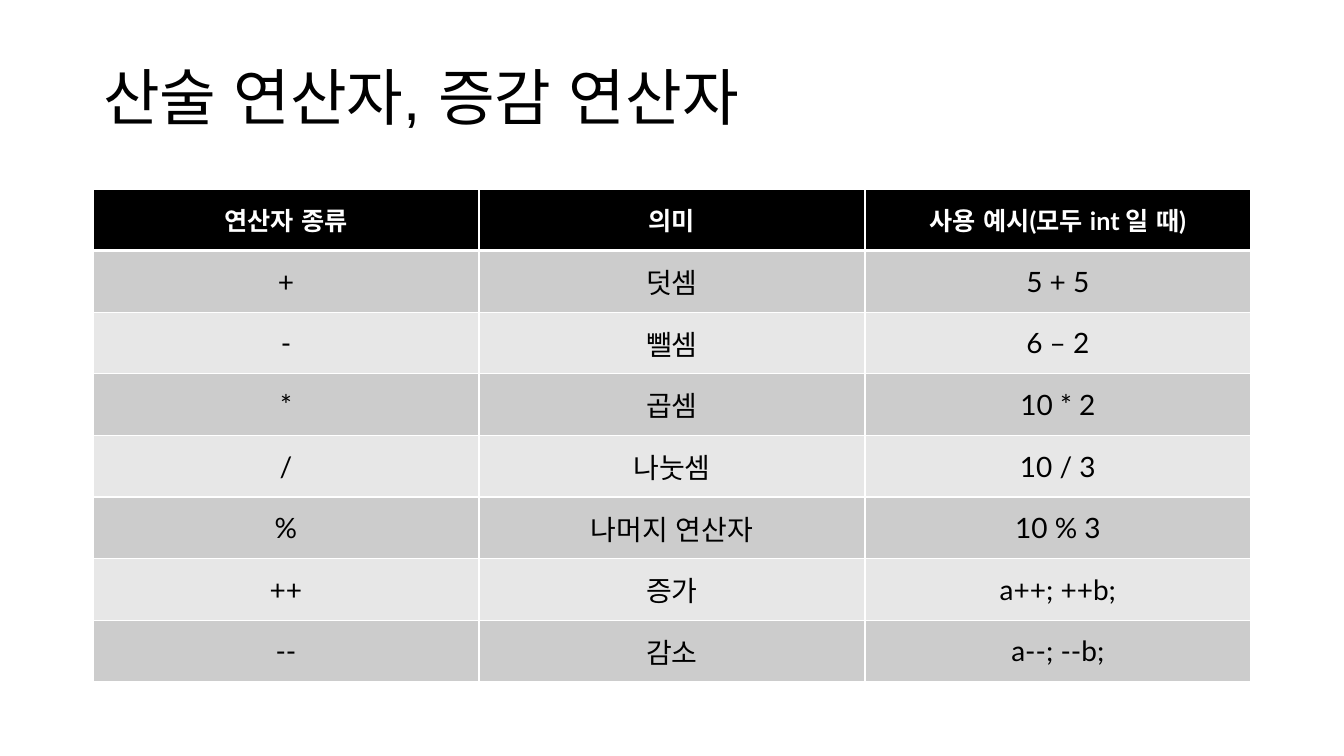
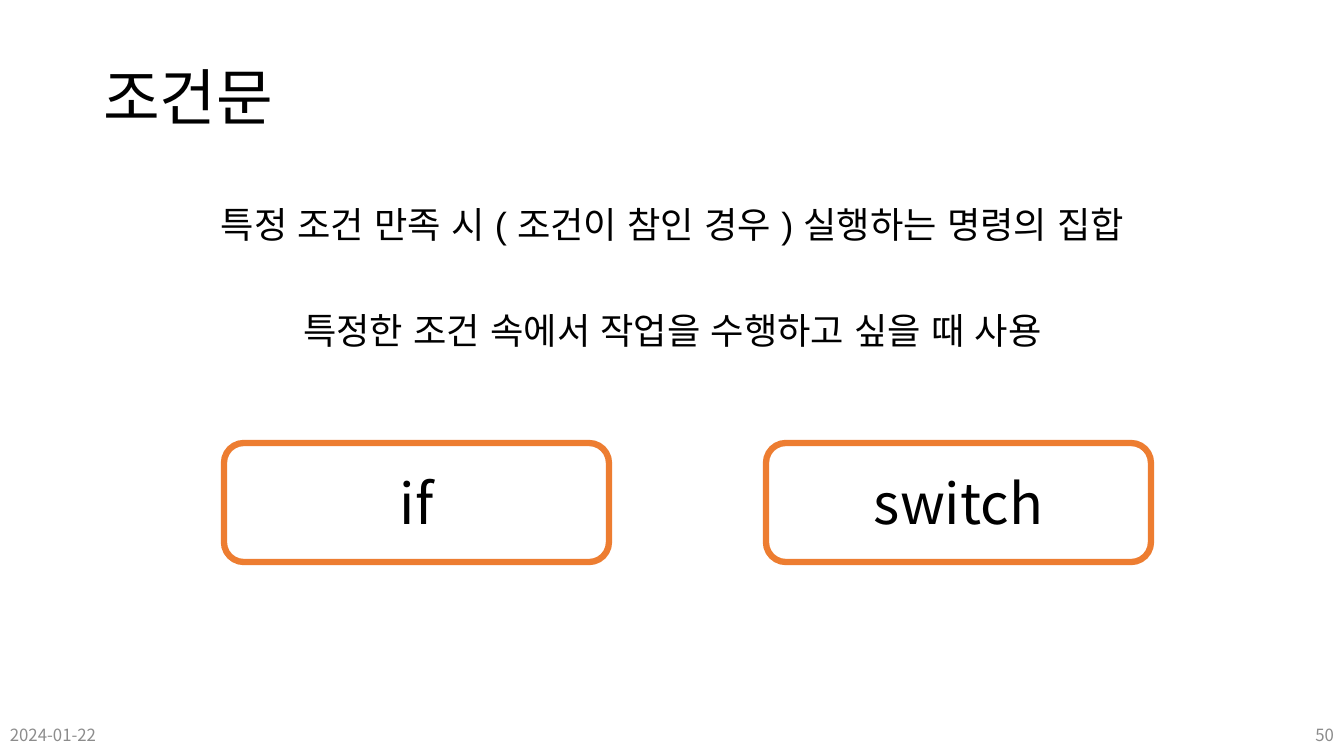
from dataclasses import dataclass

from lxml.etree import SubElement
from pptx import Presentation
from pptx.dml.color import RGBColor
from pptx.enum.lang import MSO_LANGUAGE_ID
from pptx.enum.shapes import MSO_SHAPE
from pptx.enum.text import MSO_ANCHOR, MSO_AUTO_SIZE, PP_ALIGN
from pptx.oxml import parse_xml
from pptx.oxml.ns import nsdecls, qn
from pptx.util import Emu, Pt


@dataclass(frozen=True)
class Theme:
    black: str = "000000"
    white: str = "FFFFFF"
    gray: str = "8C8C8C"
    accent: str = "ED7D31"
    bands: tuple = ("CCCCCC", "E7E7E7")
    heading_font: str = "Arial"
    table_font: str = "Lato"
    korean_font: str = "Noto Sans CJK KR"
    title_size: float = 44
    body_size: float = 25.9
    header_size: float = 18
    cell_size: float = 20
    keyword_size: float = 40
    footer_size: float = 12
    keyword_line: float = 4.5
    thin_border: float = 1
    header_border: float = 3


THEME = Theme()
SLIDE_SIZE = (1344, 756)
EMU_PER_PX = 12192000 / SLIDE_SIZE[0]

OPERATOR_TITLE = "산술 연산자, 증감 연산자"
OPERATOR_ROWS = [
    ("연산자 종류", "의미", "사용 예시(모두 int 일 때)"),
    ("+", "덧셈", "5 + 5"),
    ("-", "뺄셈", "6 – 2"),
    ("*", "곱셈", "10 * 2"),
    ("/", "나눗셈", "10 / 3"),
    ("%", "나머지 연산자", "10 % 3"),
    ("++", "증가", "a++; ++b;"),
    ("--", "감소", "a--; --b;"),
]
CONDITION_TITLE = "조건문"
CONDITION_LINES = [
    "특정 조건 만족 시 ( 조건이 참인 경우 ) 실행하는 명령의 집합",
    "특정한 조건 속에서 작업을 수행하고 싶을 때 사용",
]
KEYWORDS = ["if", "switch"]
FOOTERS = [("2024-01-22", PP_ALIGN.LEFT), ("50", PP_ALIGN.RIGHT)]

TITLE_BOX = (93, 40, 1159, 121)
TABLE_BOX = (93, 189, 1158, 493)
BODY_BOX = (93, 202, 1159, 176)
KEYWORD_BOX = (224, 443, 385, 119)
KEYWORD_STEP = 542
FOOTER_BOX = (0, 715, 302, 40)
PARAGRAPH_GAP = 48

TITLE_FORMAT = {"alignment": PP_ALIGN.LEFT, "line_spacing": 0.9}
BODY_FORMAT = {"alignment": PP_ALIGN.CENTER, "line_spacing": 0.9}
CENTERED = {"alignment": PP_ALIGN.CENTER}
FRAME_FORMAT = {
    "word_wrap": True,
    "auto_size": MSO_AUTO_SIZE.NONE,
    "vertical_anchor": MSO_ANCHOR.MIDDLE,
}


def px(length):
    return Emu(round(length * EMU_PER_PX))


def place(box):
    return [px(length) for length in box]


def apply(target, values):
    for name, value in values.items():
        setattr(target, name, value)


def write(paragraph, text, size, font_name, color, paragraph_format, bold=False):
    apply(paragraph, paragraph_format)
    run = paragraph.add_run()
    run.text = text
    apply(run.font, {"size": Pt(size), "name": font_name, "bold": bold,
                     "language_id": MSO_LANGUAGE_ID.KOREAN})
    run.font.color.rgb = RGBColor.from_string(color)
    SubElement(run.font._element, qn("a:ea"), typeface=THEME.korean_font)


def add_titled_slide(presentation, title):
    slide = presentation.slides.add_slide(presentation.slide_layouts[5])
    shape = slide.shapes.title
    apply(shape, dict(zip(("left", "top", "width", "height"), place(TITLE_BOX))))
    apply(shape.text_frame, FRAME_FORMAT)
    write(shape.text_frame.paragraphs[0], title, THEME.title_size,
          THEME.heading_font, THEME.black, TITLE_FORMAT)
    return slide


def add_text_frame(slide, box, anchor=MSO_ANCHOR.MIDDLE):
    frame = slide.shapes.add_textbox(*place(box)).text_frame
    apply(frame, FRAME_FORMAT | {"vertical_anchor": anchor})
    return frame


def set_borders(cell, widths):
    properties = cell._tc.get_or_add_tcPr()
    for index, (side, width) in enumerate(widths.items()):
        properties.insert(index, parse_xml(
            f'<a:ln{side} {nsdecls("a")} w="{Pt(width)}"><a:solidFill>'
            f'<a:srgbClr val="{THEME.white}"/></a:solidFill></a:ln{side}>'))


def add_operator_table(slide):
    row_count, column_count = len(OPERATOR_ROWS), len(OPERATOR_ROWS[0])
    table = slide.shapes.add_table(row_count, column_count, *place(TABLE_BOX)).table
    table.horz_banding = False
    for row_index, texts in enumerate(OPERATOR_ROWS):
        header = row_index == 0
        fill = THEME.black if header else THEME.bands[(row_index - 1) % 2]
        color = THEME.white if header else THEME.black
        size = THEME.header_size if header else THEME.cell_size
        borders = dict.fromkeys("LRTB", THEME.thin_border)
        if row_index < 2:
            borders["B" if header else "T"] = THEME.header_border
        for column_index, text in enumerate(texts):
            cell = table.cell(row_index, column_index)
            cell.vertical_anchor = MSO_ANCHOR.MIDDLE
            cell.fill.solid()
            cell.fill.fore_color.rgb = RGBColor.from_string(fill)
            set_borders(cell, borders)
            write(cell.text_frame.paragraphs[0], text, size, THEME.table_font,
                  color, CENTERED, header)


def add_condition_lines(slide):
    frame = add_text_frame(slide, BODY_BOX, MSO_ANCHOR.TOP)
    for index, text in enumerate(CONDITION_LINES):
        paragraph = frame.add_paragraph() if index else frame.paragraphs[0]
        gap = Pt(PARAGRAPH_GAP if index else 0)
        write(paragraph, text, THEME.body_size, THEME.heading_font, THEME.black,
              BODY_FORMAT | {"space_before": gap})


def add_keywords(slide):
    left, top, width, height = KEYWORD_BOX
    for index, text in enumerate(KEYWORDS):
        box = (left + index * KEYWORD_STEP, top, width, height)
        shape = slide.shapes.add_shape(MSO_SHAPE.ROUNDED_RECTANGLE, *place(box))
        shape.shadow.inherit = False
        shape.fill.solid()
        shape.fill.fore_color.rgb = RGBColor.from_string(THEME.white)
        shape.line.color.rgb = RGBColor.from_string(THEME.accent)
        shape.line.width = Pt(THEME.keyword_line)
        apply(shape.text_frame, FRAME_FORMAT)
        write(shape.text_frame.paragraphs[0], text, THEME.keyword_size,
              THEME.korean_font, THEME.black, CENTERED)


def add_footers(slide):
    left, top, width, height = FOOTER_BOX
    step = SLIDE_SIZE[0] - width
    for index, (text, alignment) in enumerate(FOOTERS):
        frame = add_text_frame(slide, (left + index * step, top, width, height))
        write(frame.paragraphs[0], text, THEME.footer_size, THEME.korean_font,
              THEME.gray, {"alignment": alignment})


def main():
    presentation = Presentation()
    presentation.slide_width, presentation.slide_height = place(SLIDE_SIZE)
    add_operator_table(add_titled_slide(presentation, OPERATOR_TITLE))
    condition_slide = add_titled_slide(presentation, CONDITION_TITLE)
    add_condition_lines(condition_slide)
    add_keywords(condition_slide)
    add_footers(condition_slide)
    presentation.save("out.pptx")


if __name__ == "__main__":
    main()
